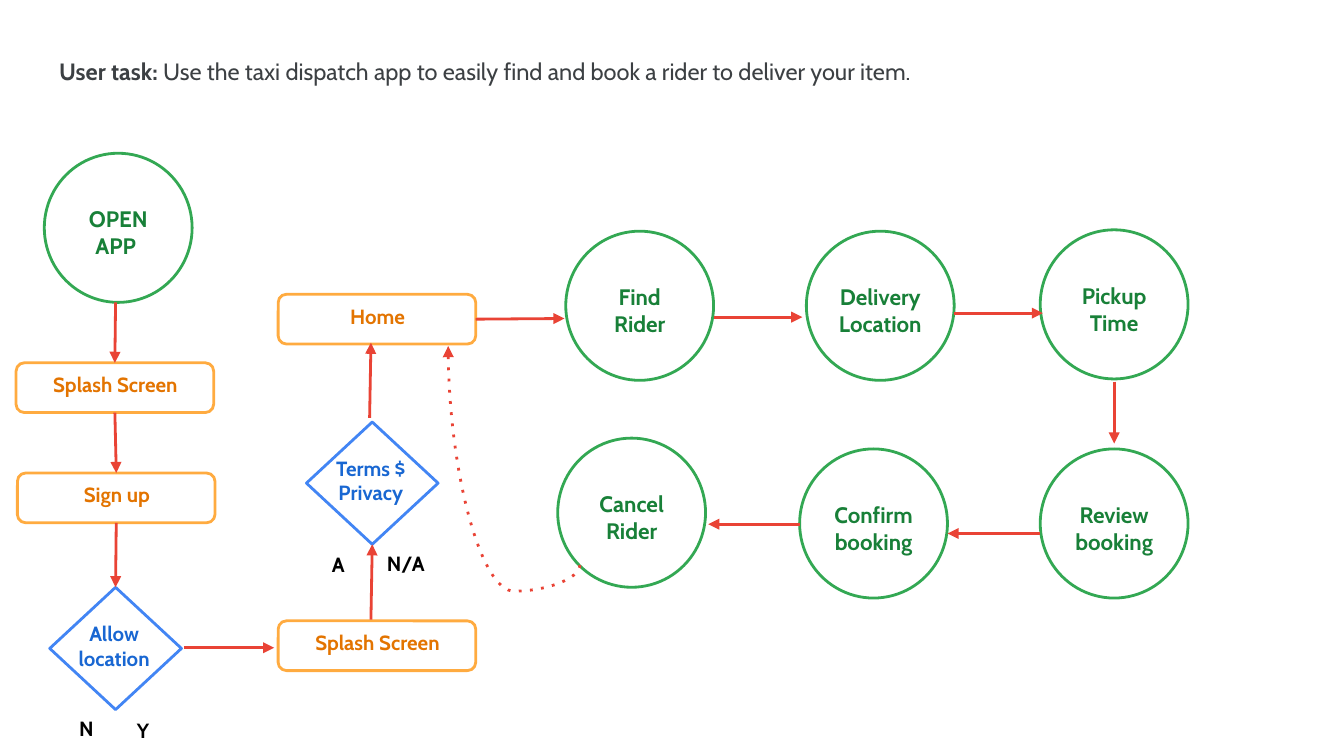
"""Build a user-flow slide for booking a delivery rider."""
from typing import NamedTuple, Optional

from lxml import etree
from pptx import Presentation
from pptx.dml.color import RGBColor
from pptx.enum.shapes import MSO_CONNECTOR, MSO_SHAPE
from pptx.enum.text import MSO_ANCHOR, MSO_AUTO_SIZE, PP_ALIGN
from pptx.oxml.ns import qn
from pptx.util import Inches, Pt

OVAL, CARD, DIAMOND = MSO_SHAPE.OVAL, MSO_SHAPE.ROUNDED_RECTANGLE, MSO_SHAPE.DIAMOND
STRAIGHT, CURVE = MSO_CONNECTOR.STRAIGHT, MSO_CONNECTOR.CURVE
LEFT, CENTER = PP_ALIGN.LEFT, PP_ALIGN.CENTER
TOP_ANCHOR, NO_FIT = MSO_ANCHOR.TOP, MSO_AUTO_SIZE.NONE
TOP, BOTTOM, RIGHT = 0, 2, 3

FONT = "Cabin"
GREY = RGBColor(0x3C, 0x40, 0x43)
GREEN = RGBColor(0x33, 0xA8, 0x53)
DARK_GREEN = RGBColor(0x18, 0x80, 0x38)
AMBER = RGBColor(0xFF, 0xAB, 0x40)
ORANGE = RGBColor(0xE3, 0x74, 0x00)
BLUE = RGBColor(0x42, 0x85, 0xF4)
DARK_BLUE = RGBColor(0x19, 0x67, 0xD2)
RED = RGBColor(0xE9, 0x43, 0x35)
BLACK = RGBColor(0, 0, 0)


class Style(NamedTuple):
    shape: MSO_SHAPE
    width: float
    height: float
    line: RGBColor
    color: RGBColor
    size: float
    text_box: tuple


class Node(NamedTuple):
    key: str
    style: Style
    x: float
    y: float
    text: str


class Label(NamedTuple):
    x: float
    y: float
    width: float
    text: str


class Arrow(NamedTuple):
    start: tuple
    end: tuple
    source: Optional[tuple] = None
    target: Optional[tuple] = None


STEP = Style(OVAL, 1.1, 1.11, GREEN, DARK_GREEN, 12, (-0.16, 0.29, 1.42, 0.53))
SCREEN = Style(CARD, 1.47, 0.37, AMBER, ORANGE, 11, (-0.21, -0.03, 1.9, 0.56))
CHOICE = Style(DIAMOND, 0.98, 0.91, BLUE, DARK_BLUE, 11, (-0.07, 0.15, 1.1, 0.44))

NODES = [
    Node("open", STEP, 0.33, 1.14, "OPEN\nAPP "),
    Node("splash", SCREEN, 0.12, 2.7, "Splash Screen"),
    Node("signup", SCREEN, 0.13, 3.52, "Sign up"),
    Node("location", CHOICE, 0.37, 4.37, "Allow location"),
    Node("splash2", SCREEN, 2.07, 4.62, "Splash Screen"),
    Node("terms", CHOICE, 2.28, 3.14, "Terms $ Privacy"),
    Node("home", SCREEN, 2.07, 2.19, "Home"),
    Node("find", STEP, 4.21, 1.72, "Find\nRider"),
    Node("delivery", STEP, 6, 1.72, "Delivery\nLocation"),
    Node("pickup", STEP, 7.74, 1.71, "Pickup\nTime"),
    Node("review", STEP, 7.74, 3.34, "Review\nbooking"),
    Node("confirm", STEP, 5.95, 3.34, "Confirm\nbooking"),
    Node("cancel", STEP, 4.15, 3.26, "Cancel\nRider"),
]
LABELS = [
    Label(0.92, 5.24, 0.31, "Y"),
    Label(0.49, 5.23, 0.31, "N"),
    Label(2.78, 4, 0.49, "N/A"),
    Label(2.37, 4.01, 0.31, "A"),
]
ARROWS = [
    Arrow((0.86, 2.25), (0.86, 2.71), target=("splash", TOP)),
    Arrow((0.86, 3.06), (0.86, 3.52), ("splash", BOTTOM), ("signup", TOP)),
    Arrow((0.86, 3.9), (0.86, 4.36), ("signup", BOTTOM), ("location", TOP)),
    Arrow((1.37, 4.82), (2.04, 4.82)),
    Arrow((2.76, 4.61), (2.77, 4.05), target=("terms", BOTTOM)),
    Arrow((2.75, 3.11), (2.76, 2.55)),
    Arrow((3.54, 2.37), (4.2, 2.37), source=("home", RIGHT)),
    Arrow((5.31, 2.36), (5.97, 2.36)),
    Arrow((7.1, 2.33), (7.76, 2.33)),
    Arrow((8.29, 2.84), (8.29, 3.3)),
    Arrow((7.74, 3.97), (7.05, 3.97)),
    Arrow((5.95, 3.9), (5.27, 3.9)),
]


def style_run(r, size: float, color: RGBColor, bold: bool = True) -> None:
    r.font.name, r.font.size, r.font.bold = FONT, Pt(size), bold
    r.font.color.rgb = color


def set_frame(tf) -> None:
    tf.word_wrap, tf.auto_size, tf.vertical_anchor = True, NO_FIT, TOP_ANCHOR
    tf.margin_left = tf.margin_right = tf.margin_top = tf.margin_bottom = Inches(0.1)


def add_text(shapes, box: tuple, text: str, size: float, color: RGBColor, align) -> None:
    tf = shapes.add_textbox(*map(Inches, box)).text_frame
    set_frame(tf)
    tf.text = text
    for p in tf.paragraphs:
        p.alignment = align
        for r in p.runs:
            style_run(r, size, color)


def add_node(shapes, node: Node):
    style = node.style
    group = shapes.add_group_shape().shapes
    box = (node.x, node.y, style.width, style.height)
    sp = group.add_shape(style.shape, *map(Inches, box))
    sp.shadow.inherit = False
    sp.fill.background()
    sp.line.color.rgb = style.line
    sp.line.width = Pt(1.5)
    dx, dy, width, height = style.text_box
    text_box = (node.x + dx, node.y + dy, width, height)
    add_text(group, text_box, node.text, style.size, style.color, CENTER)
    return sp


def add_line(shapes, kind, start: tuple, end: tuple, dash: str = "solid"):
    line = shapes.add_connector(kind, *map(Inches, start + end))
    line.line.color.rgb = RED
    line.line.width = Pt(1.5)
    sp_pr = line._element.spPr
    ln = sp_pr.find(qn("a:ln"))
    etree.SubElement(ln, qn("a:prstDash"), val=dash)
    etree.SubElement(ln, qn("a:tailEnd"), type="triangle")
    etree.SubElement(sp_pr, qn("a:effectLst"))
    return line


def add_arrow(shapes, arrow: Arrow, nodes: dict) -> None:
    line = add_line(shapes, STRAIGHT, arrow.start, arrow.end)
    if arrow.source:
        key, site = arrow.source
        line.begin_connect(nodes[key], site)
    if arrow.target:
        key, site = arrow.target
        line.end_connect(nodes[key], site)


def add_return_curve(shapes) -> None:
    line = add_line(shapes, CURVE, (4.64, 2.9), (3.01, 3.88), "dot")
    line.rotation = 90 if hasattr(line, "rotation") else 0
    sp_pr = line._element.spPr
    sp_pr.find(qn("a:xfrm")).set("rot", str(90 * 60000))
    guides = sp_pr.find(qn("a:prstGeom")).get_or_add_avLst()
    etree.SubElement(guides, qn("a:gd"), name="adj1", fmla="val -11900")


def add_title(sp) -> None:
    sp.left, sp.top, sp.width, sp.height = map(Inches, (0.34, 0.32, 9.32, 0.34))
    set_frame(sp.text_frame)
    p = sp.text_frame.paragraphs[0]
    p.alignment = LEFT
    task = "Use the taxi dispatch app to easily find and book a rider to deliver your item."
    for text, bold in (("User task: ", True), (task, False)):
        r = p.add_run()
        r.text = text
        style_run(r, 12.6, GREY, bold)


def main() -> None:
    prs = Presentation()
    prs.slide_width = Inches(10)
    prs.slide_height = prs.slide_width * 9 // 16
    slide = prs.slides.add_slide(prs.slide_layouts[5])
    shapes = slide.shapes
    add_title(shapes.title)
    nodes = {node.key: add_node(shapes, node) for node in NODES}
    for label in LABELS:
        box = (label.x, label.y, label.width, 0.35)
        add_text(shapes, box, label.text, 11, BLACK, LEFT)
    for arrow in ARROWS:
        add_arrow(shapes, arrow, nodes)
    add_return_curve(shapes)
    prs.save("out.pptx")


if __name__ == "__main__":
    main()
